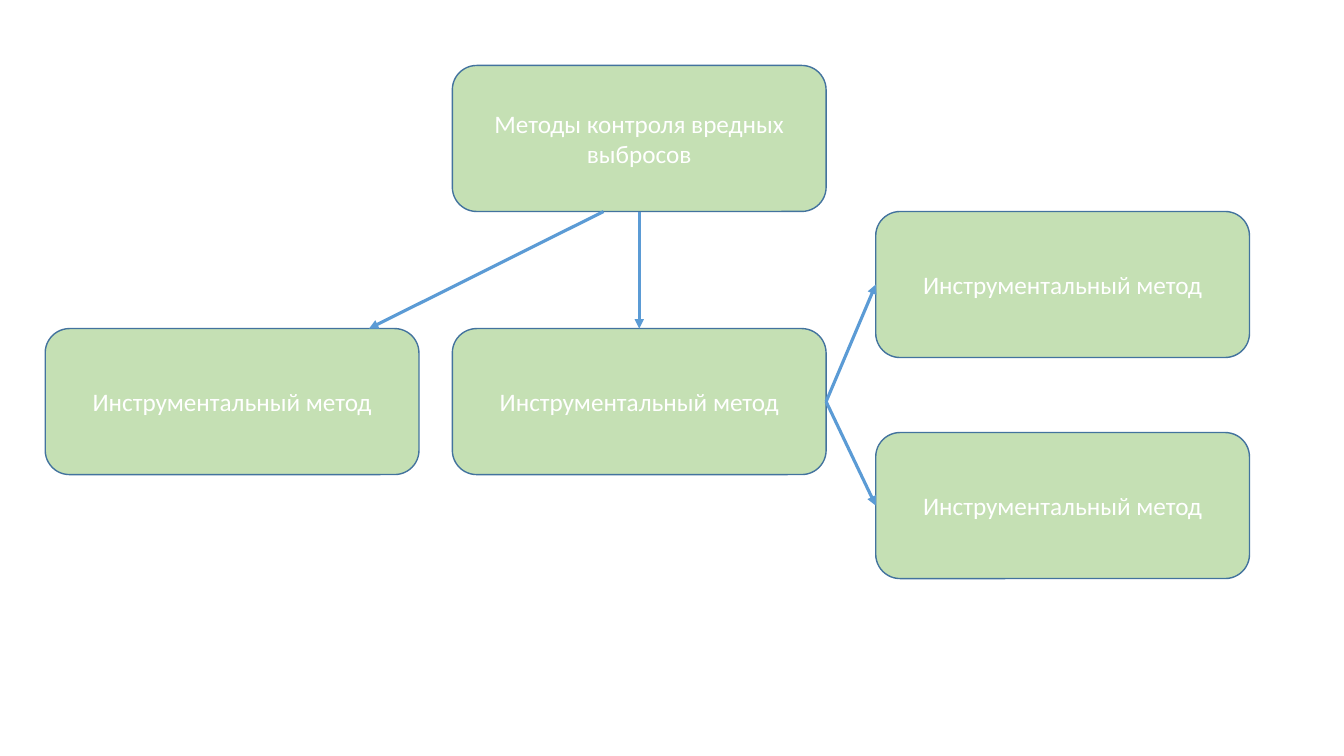
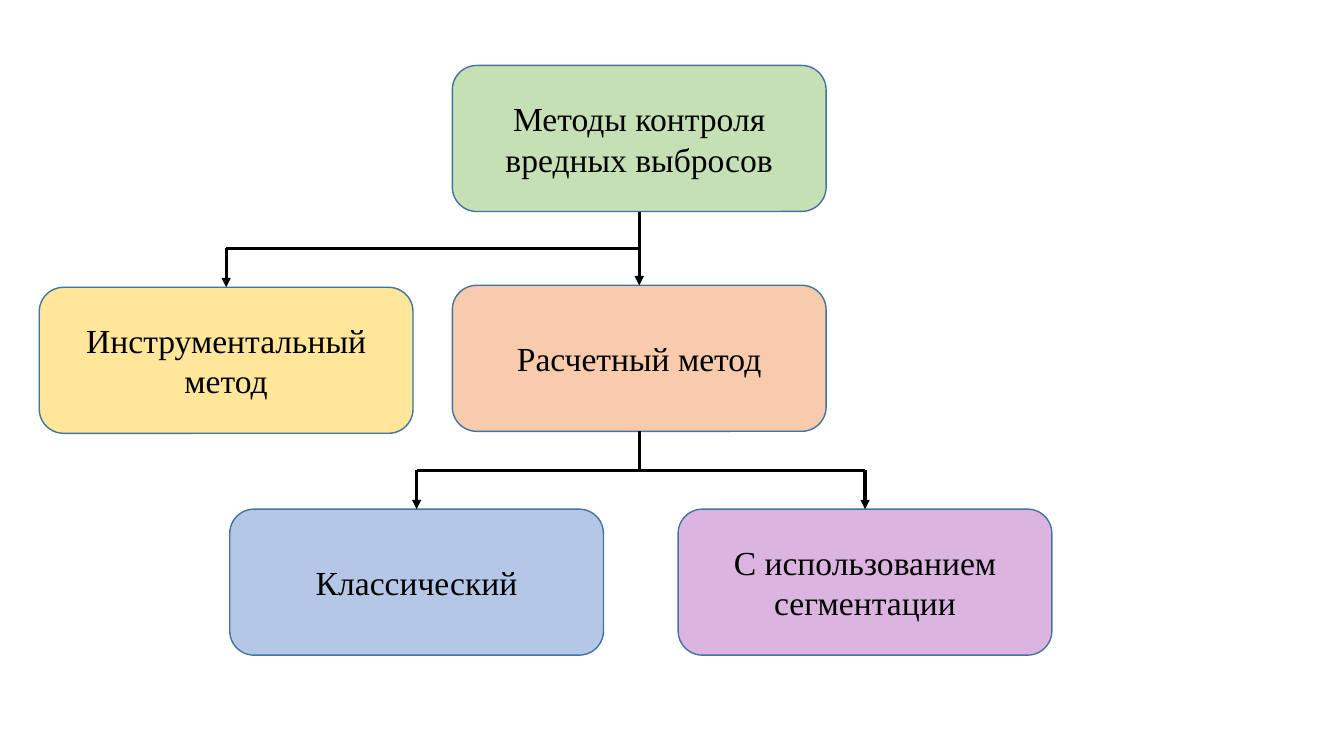
from lxml.etree import SubElement
from pptx import Presentation
from pptx.dml.color import RGBColor
from pptx.enum.shapes import MSO_CONNECTOR as Connector, MSO_SHAPE as Shape
from pptx.enum.text import MSO_ANCHOR as Anchor, PP_ALIGN as Align
from pptx.oxml.ns import qn
from pptx.util import Cm, Pt

GREEN = RGBColor(0xC5, 0xE0, 0xB4)
YELLOW = RGBColor(0xFF, 0xE6, 0x99)
ORANGE = RGBColor(0xF8, 0xCB, 0xAD)
BLUE = RGBColor(0xB4, 0xC7, 0xE7)
VIOLET = RGBColor(0xDC, 0xB4, 0xE0)
OUTLINE = RGBColor(0x43, 0x73, 0x9E)
ARROW_BLUE = RGBColor(0x5B, 0x9B, 0xD5)
BLACK = RGBColor(0, 0, 0)
WHITE = RGBColor(0xFF, 0xFF, 0xFF)

NODE_WIDTH, NODE_HEIGHT = Cm(9.42), Cm(3.68)
ROOT_TEXT = "Методы контроля вредных выбросов"
INSTRUMENTAL = "Инструментальный метод"


def add_node(slide, left, top, text, fill, font_name, size, color):
    node = slide.shapes.add_shape(Shape.ROUNDED_RECTANGLE, left, top, NODE_WIDTH, NODE_HEIGHT)
    node.shadow.inherit = False
    node.fill.solid()
    node.fill.fore_color.rgb = fill
    node.line.color.rgb = OUTLINE
    node.line.width = Pt(1)
    frame = node.text_frame
    frame.word_wrap = True
    frame.vertical_anchor = Anchor.MIDDLE
    frame.text = text
    for paragraph in frame.paragraphs:
        paragraph.alignment = Align.CENTER
        paragraph.font.name = font_name
        paragraph.font.size = Pt(size)
        paragraph.font.color.rgb = color
    return node


def add_link(slide, start, end, color, arrow=True):
    link = slide.shapes.add_connector(Connector.STRAIGHT, *start, *end)
    link.line.color.rgb = color
    link.line.width = Pt(2.25)
    if arrow:
        SubElement(link.line._get_or_add_ln(), qn("a:tailEnd"), type="triangle")
    SubElement(link._element.spPr, qn("a:effectLst"))


def top_center(node):
    return node.left + node.width // 2, node.top


def bottom_center(node):
    return node.left + node.width // 2, node.top + node.height


def left_middle(node):
    return node.left, node.top + node.height // 2


def right_middle(node):
    return node.left + node.width, node.top + node.height // 2


def add_branch(slide, parent, children):
    trunk_x, trunk_top = bottom_center(parent)
    tips = [top_center(child) for child in children]
    rail_y = (trunk_top + min(y for _, y in tips)) // 2
    ends = [x for x, _ in tips]
    add_link(slide, (trunk_x, trunk_top), (trunk_x, rail_y), BLACK, arrow=False)
    add_link(slide, (min(ends), rail_y), (max(ends), rail_y), BLACK, arrow=False)
    for x, y in tips:
        add_link(slide, (x, rail_y), (x, y), BLACK)


def build_draft_scheme(slide, left, top):
    def node(x, y, text=INSTRUMENTAL):
        return add_node(slide, left + Cm(x), top + Cm(y), text, GREEN, "Calibri", 18, WHITE)

    root = node(10.26, 0, ROOT_TEXT)
    first_method = node(0, 6.63)
    second_method = node(10.26, 6.63)
    variants = [node(20.93, 3.68), node(20.93, 9.25)]

    root_x, root_bottom = bottom_center(root)
    method_x, method_top = top_center(first_method)
    add_link(slide, (root_x - Cm(0.9), root_bottom),
             (method_x + Cm(3.45), method_top), ARROW_BLUE)
    add_link(slide, bottom_center(root), top_center(second_method), ARROW_BLUE)
    for variant in variants:
        add_link(slide, right_middle(second_method), left_middle(variant), ARROW_BLUE)


def build_method_tree(slide, left, top):
    def node(x, y, text, fill):
        return add_node(slide, left + Cm(x), top + Cm(y), text, fill,
                        "Times New Roman", 24, BLACK)

    root = node(10.41, 0, ROOT_TEXT, GREEN)
    instrumental = node(0, 5.59, INSTRUMENTAL, YELLOW)
    calculated = node(10.41, 5.54, "Расчетный метод", ORANGE)
    classic = node(4.8, 11.18, "Классический", BLUE)
    segmented = node(16.1, 11.18, "С использованием\nсегментации", VIOLET)
    add_branch(slide, root, [instrumental, calculated])
    add_branch(slide, calculated, [classic, segmented])


deck = Presentation()
deck.slide_width, deck.slide_height = Cm(33.87), Cm(19.05)
blank = deck.slide_layouts.get_by_name("Blank")
build_draft_scheme(deck.slides.add_slide(blank), Cm(1.14), Cm(1.65))
build_method_tree(deck.slides.add_slide(blank), Cm(0.99), Cm(1.65))
deck.save("out.pptx")
